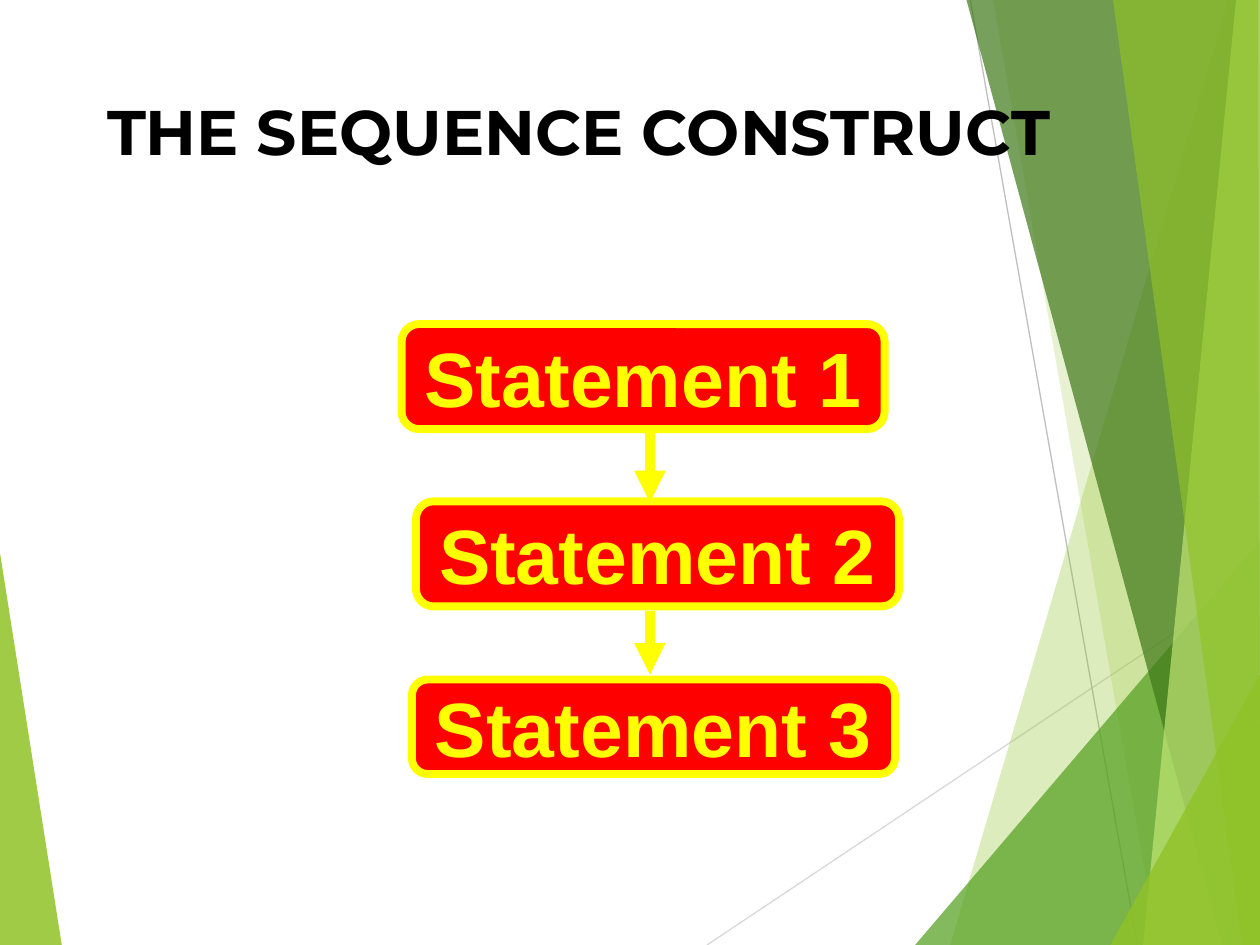
"""Build a slide showing the sequence construct as three linked statements."""
from pptx import Presentation
from pptx.dml.color import RGBColor
from pptx.enum.shapes import MSO_CONNECTOR, MSO_SHAPE
from pptx.enum.text import MSO_ANCHOR, MSO_AUTO_SIZE, PP_ALIGN
from pptx.oxml.ns import qn
from pptx.util import Pt
from lxml.etree import SubElement

W, H = 720, 540
THEME = {
    "lime": "90C226", "leaf": "54A021", "forest": "3F7819", "pale": "C0E474",
    "box": "FF0000", "accent": "FFFF00", "border": 4.5, "arrow": 6, "hairline": 0.75,
    "title": {"name": "Montserrat", "size": Pt(36), "bold": True, "color": "000000"},
    "statement": {"name": "Arial", "size": Pt(44), "bold": True, "color": "FFFF00"},
}
TITLE = ("THE SEQUENCE CONSTRUCT", (54, 49, 612, 90))
STATEMENTS = [
    ("Statement 1", (229.5, 185.2, 276, 60)),
    ("Statement 2", (237.7, 286.5, 276, 60)),
    ("Statement 3", (235.4, 388.3, 276, 54)),
]
ARROW_X = 371.4
ARROWS = [(245, 287), (349, 385.5)]
LEFT_FACET = ("lime", 85, [(0, 316), (35.3, H), (0, H)])
GUIDES = [((404, H), (W, 329), "D9D9D9"), ((554.5, 0), (650, H), "BFBFBF")]
RIGHT_FACETS = [
    ("lime", 30, [(702, 0), (543, H), (W, H), (W, 0)]),
    ("lime", 20, [(567.5, 0), (661.5, H), (W, H), (W, 0)]),
    ("leaf", 72, [(522.9, H), (W, 309), (W, H)]),
    ("forest", 70, [(552.3, 0), (698.4, H), (W, H), (W, 0)]),
    ("pale", 70, [(706.3, 0), (653.2, H), (W, H), (W, 0)]),
    ("lime", 65, [(636, 0), (710, H), (W, H), (718.8, 0)]),
    ("lime", 80, [(634.5, H), (W, 385.5), (W, H)]),
]


def rgb(value):
    return RGBColor.from_string(value)


def set_text(tf, text, font, align, **frame):
    for key, value in frame.items():
        setattr(tf, key, value)
    p = tf.paragraphs[0]
    p.alignment = align
    r = p.add_run()
    r.text = text
    for key, value in font.items():
        if key == "color":
            r.font.color.rgb = rgb(value)
        else:
            setattr(r.font, key, value)


def add_facet(s, color, opacity, points):
    start, *rest = [(Pt(x), Pt(y)) for x, y in points]
    builder = s.shapes.build_freeform(*start, scale=1.0)
    builder.add_line_segments(rest, close=True)
    sp = builder.convert_to_shape()
    sp.shadow.inherit = False
    sp.fill.solid()
    sp.fill.fore_color.rgb = rgb(THEME[color])
    sp.line.fill.background()
    clr = sp._element.spPr.find(qn("a:solidFill"))[0]
    SubElement(clr, qn("a:alpha")).set("val", str(opacity * 1000))


def add_line(s, start, end, color, width, arrow=False):
    ends = [Pt(v) for v in (*start, *end)]
    line = s.shapes.add_connector(MSO_CONNECTOR.STRAIGHT, *ends)
    line.line.color.rgb = rgb(color)
    line.line.width = Pt(width)
    if arrow:
        SubElement(line.line._get_or_add_ln(), qn("a:tailEnd")).set("type", "triangle")
    SubElement(line._element.spPr, qn("a:effectLst"))


def add_statement(s, text, box):
    sp = s.shapes.add_shape(MSO_SHAPE.ROUNDED_RECTANGLE, *map(Pt, box))
    sp.shadow.inherit = False
    sp.fill.solid()
    sp.fill.fore_color.rgb = rgb(THEME["box"])
    sp.line.color.rgb = rgb(THEME["accent"])
    sp.line.width = Pt(THEME["border"])
    set_text(sp.text_frame, text, THEME["statement"], PP_ALIGN.CENTER,
             word_wrap=False, vertical_anchor=MSO_ANCHOR.MIDDLE)


def add_title(s, text, box):
    title = s.shapes.title
    s.shapes._spTree.append(title._element)
    for key, value in zip(("left", "top", "width", "height"), box):
        setattr(title, key, Pt(value))
    set_text(title.text_frame, text, THEME["title"], PP_ALIGN.LEFT, word_wrap=True,
             vertical_anchor=MSO_ANCHOR.TOP, auto_size=MSO_AUTO_SIZE.NONE)


def main():
    prs = Presentation()
    prs.slide_width, prs.slide_height = Pt(W), Pt(H)
    s = prs.slides.add_slide(prs.slide_layouts[5])
    add_facet(s, *LEFT_FACET)
    for start, end, color in GUIDES:
        add_line(s, start, end, color, THEME["hairline"])
    for facet in RIGHT_FACETS:
        add_facet(s, *facet)
    add_title(s, *TITLE)
    for text, box in STATEMENTS:
        add_statement(s, text, box)
    for top, bottom in ARROWS:
        add_line(s, (ARROW_X, top), (ARROW_X, bottom), THEME["accent"], THEME["arrow"], True)
    prs.save("out.pptx")


if __name__ == "__main__":
    main()
